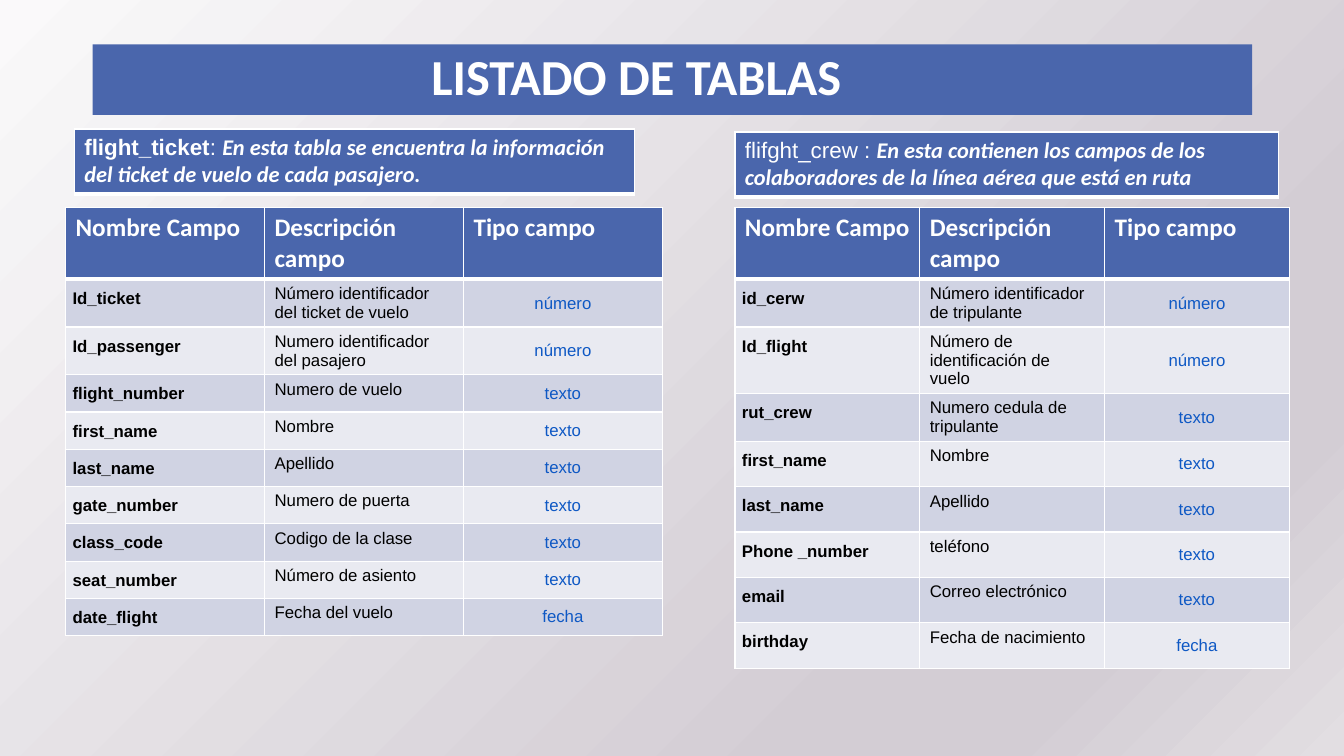
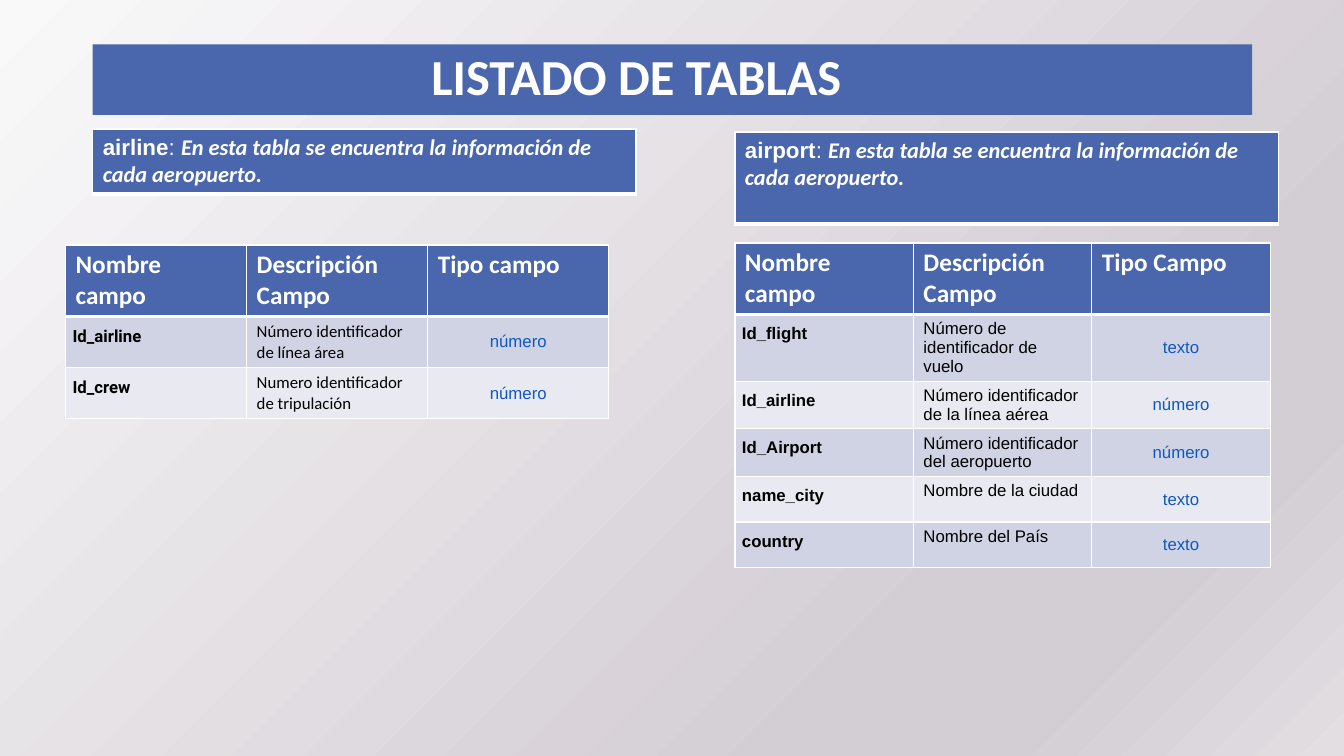
from dataclasses import dataclass

from lxml.etree import SubElement
from pptx import Presentation
from pptx.dml.color import RGBColor
from pptx.enum.text import MSO_ANCHOR as Anchor, PP_ALIGN as Align
from pptx.oxml.ns import qn
from pptx.util import Emu, Inches, Pt

COLORS = {"blue": "4A66AC", "odd": "D0D3E3", "even": "E9EAF1",
          "white": "FFFFFF", "black": "000000", "kind": "0E58C4"}
BACKDROP = [(0, "FAF9FA"), (74, "D3CDD4"), (83, "D3CDD4"), (100, "E2DEE2")]
SLIDE_W, SLIDE_H = Inches(13.33), Inches(7.5)

# Row heights, in percent of the slide's height
HEAD, THREE, TWO, TWO_WIDE, ONE, ONE_TIGHT = 9.47, 8.8, 6.27, 6.67, 6, 4.93
LEFT, RIGHT = 4.88, 54.68


@dataclass(frozen=True)
class Run:
    text: str
    size: int
    font: str = "Arial"
    color: str = "white"
    bold: bool = False
    italic: bool = False


@dataclass(frozen=True)
class Banner:
    x: float
    y: float
    w: float
    h: float
    name: str
    colon: str
    text: str
    bold: bool = True


@dataclass(frozen=True)
class FieldTable:
    x: float
    y: float
    w: float
    heads: tuple[str, ...]
    heights: list[float]
    rows: list[tuple[str, str, str]]
    name_font: str = "Arial"
    text_font: str = "Arial"


def across(pct: float) -> Emu:
    return Emu(round(SLIDE_W * pct / 100))


def down(pct: float) -> Emu:
    return Emu(round(SLIDE_H * pct / 100))


def add_run(p, run: Run) -> None:
    r = p.add_run()
    r.text = run.text
    f = r.font
    f.name, f.size, f.bold, f.italic = run.font, Pt(run.size), run.bold, run.italic
    f.color.rgb = RGBColor.from_string(COLORS[run.color])


def fill_solid(target, color: str) -> None:
    target.fill.solid()
    target.fill.fore_color.rgb = RGBColor.from_string(COLORS[color])


def set_borders(cell, widths: dict[str, float]) -> None:
    tc_pr = cell._tc.get_or_add_tcPr()
    for i, (side, width) in enumerate(widths.items()):
        ln = SubElement(tc_pr, qn(f"a:ln{side}"), w=str(Pt(width)))
        SubElement(SubElement(ln, qn("a:solidFill")), qn("a:srgbClr"), val=COLORS["white"])
        tc_pr.insert(i, ln)


def set_cell(cell, fill: str, *runs: Run, head: bool = False):
    fill_solid(cell, fill)
    set_borders(cell, {"L": 1, "R": 1, "T": 1, "B": 3} if head else {"L": 1, "R": 1, "B": 1})
    p = cell.text_frame.paragraphs[0]
    for run in runs:
        add_run(p, run)
    return p


def set_insets(cell, side: float, edge: float) -> None:
    cell.margin_left = cell.margin_right = Inches(side)
    cell.margin_top = cell.margin_bottom = Inches(edge)


def add_grid(s, x: float, y: float, w: float, cols: int, heights: list[float]):
    tbl = s.shapes.add_table(len(heights), cols, across(x), down(y),
                             across(w), down(sum(heights))).table
    for col in tbl.columns:
        col.width = across(w / cols)
    for row, h in zip(tbl.rows, heights):
        row.height = down(h)
    return tbl


def add_banner(s, b: Banner) -> None:
    tbl = add_grid(s, b.x, b.y, b.w, 1, [b.h])
    set_cell(tbl.cell(0, 0), "blue", Run(b.name, 16, bold=b.bold), Run(b.colon, 16),
             Run(b.text, 16, "Calibri", bold=True, italic=True), head=True)


def add_field_table(s, t: FieldTable) -> None:
    tbl = add_grid(s, t.x, t.y, t.w, len(t.heads), t.heights)
    for c, head in enumerate(t.heads):
        set_cell(tbl.cell(0, c), "blue", Run(head, 18, "Calibri", bold=True), head=True)
    for i, (name, text, kind) in enumerate(t.rows, 1):
        fill = "odd" if i % 2 else "even"
        name_cell, text_cell, kind_cell = (tbl.cell(i, c) for c in range(3))
        p = set_cell(name_cell, fill, Run(name, 12, t.name_font, "black", bold=True))
        p.line_spacing = 1.15
        set_insets(name_cell, 0.07, 0.07)
        set_cell(text_cell, fill, Run(text, 12, t.text_font, "black"))
        p = set_cell(kind_cell, fill, Run(kind, 12, color="kind"))
        p.alignment = Align.CENTER
        set_insets(kind_cell, 0.07, 0.04)
        kind_cell.vertical_anchor = Anchor.MIDDLE


def add_title(s) -> None:
    sp = s.shapes.title
    sp.left, sp.top, sp.width, sp.height = across(6.9), down(5.87), across(86.27), down(9.33)
    fill_solid(sp, "blue")
    tf = sp.text_frame
    tf.vertical_anchor = Anchor.MIDDLE
    tf.margin_left = across(25.2)
    p = tf.paragraphs[0]
    p.alignment, p.line_spacing = Align.LEFT, 0.9
    add_run(p, Run("LISTADO DE TABLAS", 36, "Calibri", bold=True))


def set_backdrop(master) -> None:
    fill = master.background.fill
    fill.gradient()
    fill.gradient_angle = 315
    stops = next(master.element.iter(qn("a:gsLst")))
    for stop in list(stops):
        stops.remove(stop)
    for pos, color in BACKDROP:
        gs = SubElement(stops, qn("a:gs"), pos=str(pos * 1000))
        SubElement(gs, qn("a:srgbClr"), val=color)


# Content of each slide: banners, then field tables
SLIDES = [
    ([
        Banner(5.53, 17.07, 41.71, 8.4, "flight_ticket", ": ",
               "En esta tabla se encuentra la información del ticket de vuelo de cada pasajero."),
        Banner(RIGHT, 17.47, 40.43, 8.4, "flifght_crew", " : ",
               "En esta contienen los campos de los colaboradores de la línea aérea que está en ruta",
               bold=False),
    ], [
        FieldTable(LEFT, 27.47, 44.41, ("Nombre Campo", "Descripción campo", "Tipo campo"),
                   [HEAD, TWO, TWO] + [ONE_TIGHT] * 7, [
            ("Id_ticket", "Número identificador del ticket de vuelo", "número"),
            ("Id_passenger", "Numero identificador del pasajero", "número"),
            ("flight_number", "Numero de vuelo", "texto"),
            ("first_name", "Nombre", "texto"),
            ("last_name", "Apellido", "texto"),
            ("gate_number", "Numero de puerta", "texto"),
            ("class_code", "Codigo de la clase", "texto"),
            ("seat_number", "Número de asiento", "texto"),
            ("date_flight", "Fecha del vuelo", "fecha"),
        ]),
        FieldTable(RIGHT, 27.47, 41.26, ("Nombre Campo", "Descripción campo", "Tipo campo"),
                   [HEAD, TWO, THREE, TWO] + [ONE] * 5, [
            ("id_cerw", "Número identificador de tripulante", "número"),
            ("Id_flight", "Número de identificación de vuelo", "número"),
            ("rut_crew", "Numero cedula de tripulante", "texto"),
            ("first_name", "Nombre", "texto"),
            ("last_name", "Apellido", "texto"),
            ("Phone _number", "teléfono", "texto"),
            ("email", "Correo electrónico", "texto"),
            ("birthday", "Fecha de nacimiento", "fecha"),
        ]),
    ]),
    ([
        Banner(6.9, 17.07, 40.43, 8.4, "airline", ": ",
               "En esta tabla se encuentra la información de cada aeropuerto."),
        Banner(RIGHT, 17.47, 40.43, 12.13, "airport", ": ",
               "En esta tabla se encuentra la información de cada aeropuerto."),
    ], [
        FieldTable(LEFT, 32.4, 40.43, ("Nombre campo", "Descripción Campo", "Tipo campo"),
                   [HEAD, TWO_WIDE, TWO_WIDE], [
            ("Id_airline", "Número identificador de línea área", "número"),
            ("Id_crew", "Numero identificador de tripulación", "número"),
        ], name_font="Roboto", text_font="Calibri"),
        FieldTable(RIGHT, 32.13, 39.84, ("Nombre campo", "Descripción Campo", "Tipo Campo"),
                   [HEAD, THREE, TWO, TWO, ONE, ONE], [
            ("Id_flight", "Número de identificador de vuelo", "texto"),
            ("Id_airline", "Número identificador de la línea aérea", "número"),
            ("Id_Airport", "Número identificador del aeropuerto", "número"),
            ("name_city", "Nombre de la ciudad", "texto"),
            ("country", "Nombre del País", "texto"),
        ]),
    ]),
]


def main() -> None:
    prs = Presentation()
    prs.slide_width, prs.slide_height = SLIDE_W, SLIDE_H
    set_backdrop(prs.slide_master)
    title_only = prs.slide_layouts[5]
    for banners, tables in SLIDES:
        s = prs.slides.add_slide(title_only)
        add_title(s)
        for banner in banners:
            add_banner(s, banner)
        for table in tables:
            add_field_table(s, table)
    prs.save("out.pptx")


if __name__ == "__main__":
    main()
